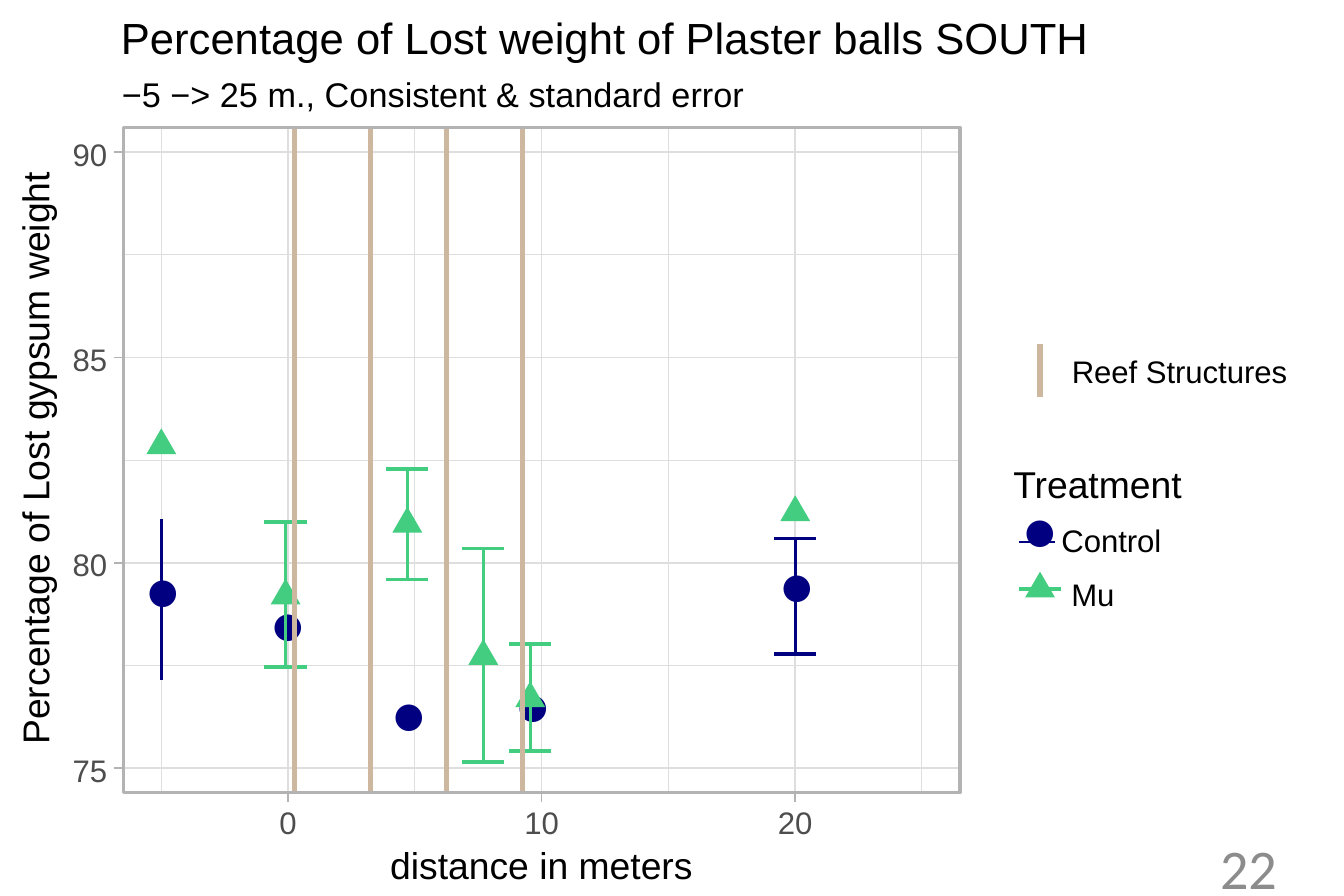
"""Build the slide with the plaster ball weight loss plot for the south side."""
from typing import NamedTuple, Optional

from pptx import Presentation
from pptx.dml.color import RGBColor as RGB
from pptx.enum.shapes import MSO_CONNECTOR as CONN, MSO_SHAPE as SHAPE
from pptx.enum.text import PP_ALIGN as AL
from pptx.oxml.ns import qn
from pptx.shapes.autoshape import Shape
from pptx.shapes.connector import Connector
from pptx.util import Pt
from lxml.etree import SubElement

COLORS = {
    "grid": "DEDEDE", "frame": "B3B3B3", "control": "000080", "mu": "43CD80",
    "structure": "CDB79E", "text": "000000", "tick": "4D4D4D", "page": "8C8C8C",
}
X_MIN, X_MAX, Y_MIN, Y_MAX = -6.5, 26.5, 74.4, 90.6
TICK, CAP, THICK = 2.9, 13.6, 1.07
TRI_W, TRI_H = 9.6, 8.3
TOP, LEFT, BOTTOM, RIGHT = range(4)


class Label(NamedTuple):
    text: str
    x: float
    y: float
    w: float
    size: float
    color: str = "text"
    align: AL = AL.LEFT
    font: str = "Arial"


class Mark(NamedTuple):
    distance: float
    loss: float


class ErrorBar(NamedTuple):
    distance: float
    high: float
    low: float
    color: str
    capped: bool = True


class GridSet(NamedTuple):
    distances: tuple[float, ...]
    losses: tuple[float, ...]
    width: float


GRIDS = [
    GridSet((-5, 5, 15, 25), (77.5, 82.5, 87.5), 0.27),
    GridSet((0, 10, 20), (75, 80, 85, 90), 0.53),
]
CONTROL = [Mark(-4.91, 79.12), Mark(0, 78.29), Mark(4.8, 76.09),
           Mark(9.65, 76.32), Mark(20.1, 79.23)]
MU = [Mark(-5, 82.96), Mark(-0.1, 79.3), Mark(4.7, 81.05),
      Mark(7.7, 77.83), Mark(9.55, 76.8), Mark(20, 81.33)]
ERRORS = [
    ErrorBar(-5, 81.06, 77.14, "control", False),
    ErrorBar(20, 80.59, 77.78, "control"),
    ErrorBar(-0.1, 80.99, 77.46, "mu"),
    ErrorBar(4.7, 82.28, 79.6, "mu"),
    ErrorBar(7.7, 80.35, 75.15, "mu"),
    ErrorBar(9.55, 78.02, 75.42, "mu"),
]
STRUCTURES = (0.25, 3.25, 6.25, 9.25)
LABELS = [
    Label("Percentage of Lost weight of Plaster balls SOUTH", 38.9, 3.4, 330, 14),
    Label("−5 −> 25 m., Consistent & standard error", 39.2, 23.5, 230, 11),
    Label("distance in meters", 114.1, 270.7, 120, 12, align=AL.CENTER),
    Label("Reef Structures", 344.5, 113.4, 82, 10),
    Label("Treatment", 325.7, 148.2, 70, 12),
    Label("Control", 341.2, 167.7, 50, 10),
    Label("Mu", 344.4, 185.1, 30, 10),
    Label("22", 311, 268, 99.4, 18, "page", AL.RIGHT, "Calibri"),
]


def px(distance: float) -> float:
    return 92.6 + 8.15 * distance


def py(loss: float) -> float:
    return 48.9 + 13.2 * (90 - loss)


def rgb(color: str) -> RGB:
    return RGB.from_string(COLORS[color])


def add_text(s, label: Label, height: Optional[float] = None) -> Shape:
    sp = s.shapes.add_textbox(Pt(label.x), Pt(label.y), Pt(label.w),
                              Pt(height or label.size * 1.2))
    tf = sp.text_frame
    tf.margin_left = tf.margin_right = tf.margin_top = tf.margin_bottom = 0
    tf.word_wrap = True
    tf.text = label.text
    p = tf.paragraphs[0]
    p.alignment = label.align
    r = p.runs[0]
    r.font.size, r.font.name = Pt(label.size), label.font
    r.font.color.rgb = rgb(label.color)
    if label.font.startswith("Noto"):
        SubElement(r._r.get_or_add_rPr(), qn("a:ea")).set("typeface", label.font)
    return sp


def add_line(s, x1: float, y1: float, x2: float, y2: float,
             color: str, width: float) -> Connector:
    c = s.shapes.add_connector(CONN.STRAIGHT, Pt(x1), Pt(y1), Pt(x2), Pt(y2))
    c.line.color.rgb, c.line.width = rgb(color), Pt(width)
    SubElement(c._element.spPr, qn("a:effectLst"))
    return c


def add_circle(s, x: float, y: float) -> None:
    add_text(s, Label("●", x - 4.75, y - 7.5, 12, 9.5, "control",
                      font="Noto Sans CJK JP"))


def add_triangle(s, x: float, y: float) -> None:
    sp = s.shapes.add_shape(SHAPE.ISOSCELES_TRIANGLE, Pt(x - TRI_W / 2),
                            Pt(y - TRI_H / 2), Pt(TRI_W), Pt(TRI_H))
    sp.shadow.inherit = False
    sp.fill.solid()
    sp.fill.fore_color.rgb = rgb("mu")
    sp.line.fill.background()


def add_panel(s) -> Shape:
    x, y = px(X_MIN), py(Y_MAX)
    sp = s.shapes.add_shape(SHAPE.RECTANGLE, Pt(x), Pt(y),
                            Pt(px(X_MAX) - x), Pt(py(Y_MIN) - y))
    sp.shadow.inherit = False
    sp.fill.background()
    sp.line.color.rgb, sp.line.width = rgb("frame"), Pt(THICK)
    return sp


def add_grid(s, panel: Shape, grid: GridSet) -> None:
    for loss in grid.losses:
        c = add_line(s, px(X_MIN), py(loss), px(X_MAX), py(loss), "grid", grid.width)
        if loss == 82.5:
            c.begin_connect(panel, LEFT)
            c.end_connect(panel, RIGHT)
    for distance in grid.distances:
        c = add_line(s, px(distance), py(Y_MIN), px(distance), py(Y_MAX),
                     "grid", grid.width)
        if distance == 10:
            c.begin_connect(panel, BOTTOM)
            c.end_connect(panel, TOP)


def add_error(s, bar: ErrorBar) -> None:
    x = px(bar.distance)
    add_line(s, x, py(bar.high), x, py(bar.low), bar.color, THICK)
    if bar.capped:
        for y in (py(bar.high), py(bar.low)):
            add_line(s, x - CAP / 2, y, x + CAP / 2, y, bar.color, THICK)


def add_axes(s, panel: Shape, major: GridSet) -> None:
    for loss in major.losses:
        x, y = px(X_MIN), py(loss)
        add_line(s, x - TICK, y, x, y, "frame", 0.53)
        add_text(s, Label(str(loss), 14.4, y - 5.5, 20, 10, "tick", AL.RIGHT))
    for distance in major.distances:
        x, y = px(distance), py(Y_MIN)
        c = add_line(s, x, y + TICK, x, y, "frame", 0.53)
        if distance == 10:
            c.end_connect(panel, BOTTOM)
        add_text(s, Label(str(distance), x - 10, 258.4, 20, 10, "tick", AL.CENTER))
    title = Label("Percentage of Lost gypsum weight", 3.9, 47.3, 15, 12, align=AL.CENTER)
    sp = add_text(s, title, 200)
    sp.text_frame._txBody.bodyPr.set("vert", "vert270")


def add_legend(s) -> None:
    add_line(s, 334.3, 110.6, 334.3, 127.7, "structure", 1.71)
    add_line(s, 327.6, 174.2, 339.1, 174.2, "control", 0.6)
    add_circle(s, 334.3, 173.3)
    add_triangle(s, 334.3, 187.9)
    add_line(s, 327.6, 189.3, 341.2, 189.3, "mu", THICK)


def main() -> None:
    prs = Presentation()
    prs.slide_width, prs.slide_height = Pt(432), Pt(288)
    s = prs.slides.add_slide(prs.slide_layouts[6])
    panel = add_panel(s)
    for grid in GRIDS:
        add_grid(s, panel, grid)
    for mark in CONTROL:
        add_circle(s, px(mark.distance), py(mark.loss))
    for mark in MU:
        add_triangle(s, px(mark.distance), py(mark.loss))
    for bar in ERRORS:
        add_error(s, bar)
    for distance in STRUCTURES:
        add_line(s, px(distance), py(Y_MIN), px(distance), py(Y_MAX), "structure", 1.71)
    s.shapes._spTree.append(panel._element)
    add_axes(s, panel, GRIDS[1])
    add_legend(s)
    for label in LABELS:
        add_text(s, label)
    prs.save("out.pptx")


if __name__ == "__main__":
    main()
